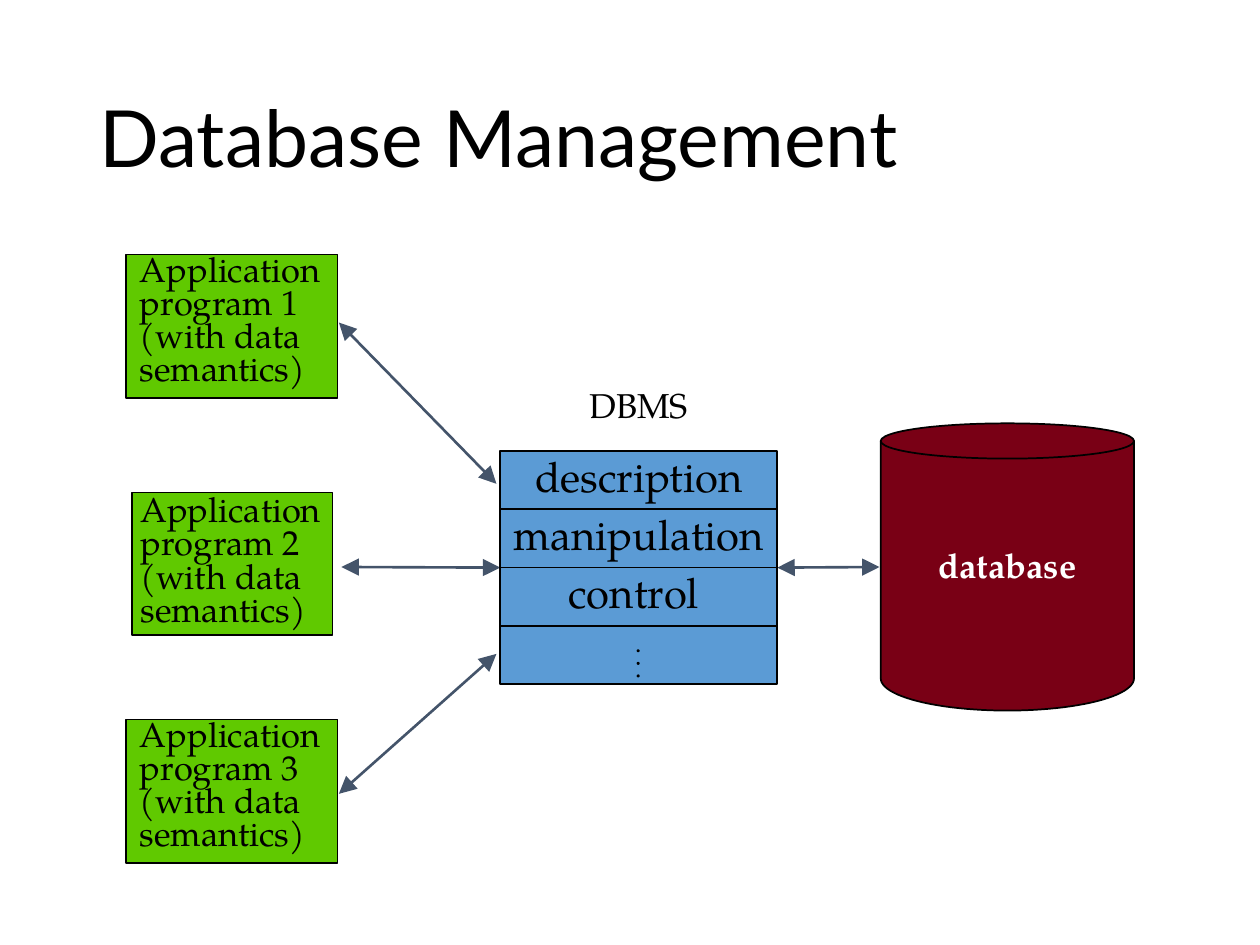
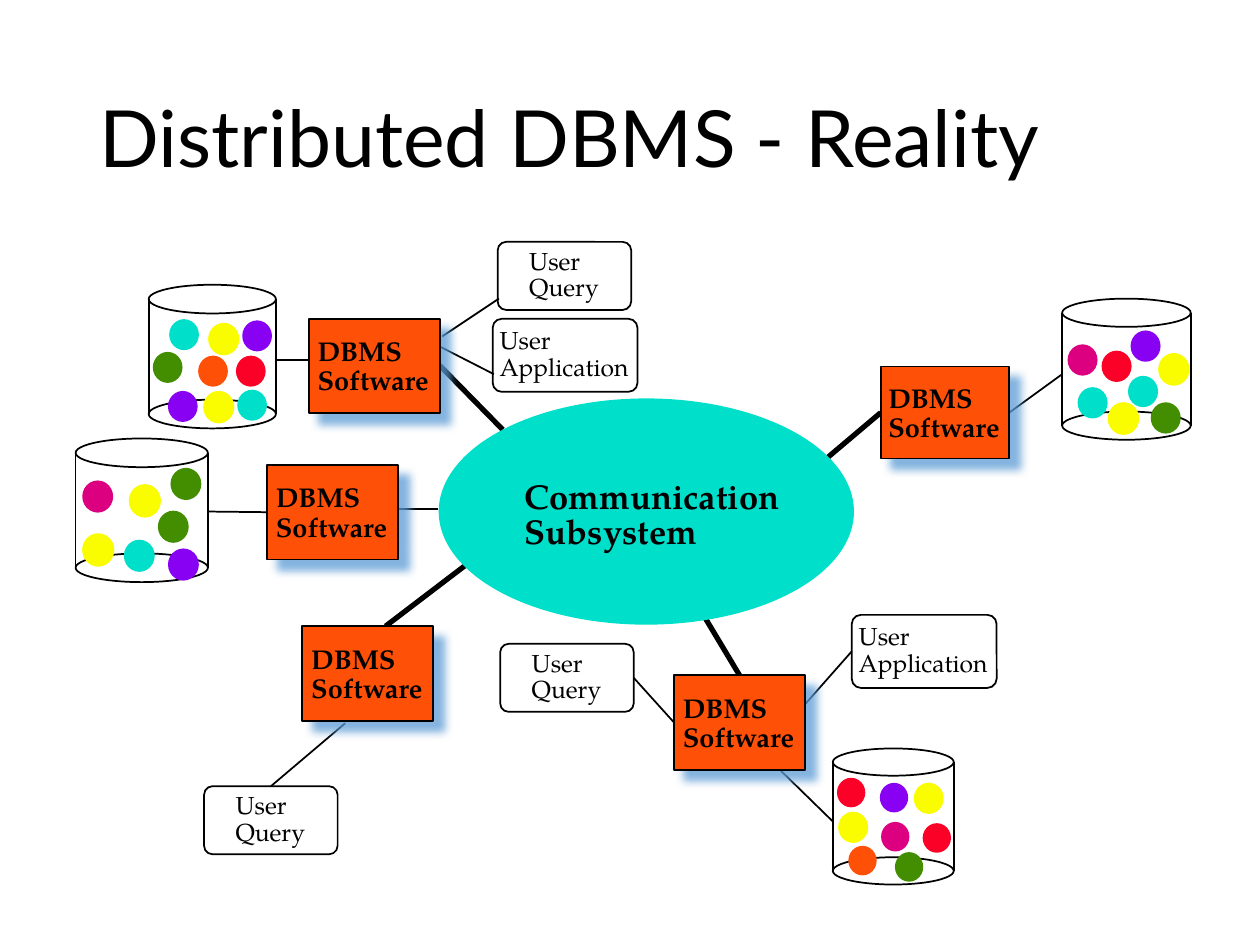
import math
from collections import namedtuple
from lxml import etree
from pptx import Presentation
from pptx import util as u
from pptx.dml import color
from pptx.enum import shapes, text
from pptx.oxml import ns

COLOURS = {
    "ink": "000000", "paper": "FFFFFF", "program": "60C900", "dbms": "5B9BD5",
    "store": "790015", "arrow": "44546A", "cyan": "00DFCA", "orange": "FF5008",
    "yellow": "FAFD00", "green": "438E00", "pink": "DC0081", "violet": "8901F3",
    "red": "FC0128",
}
SERIF = "TeX Gyre Pagella"
START, MIDDLE = text.PP_ALIGN.LEFT, text.PP_ALIGN.CENTER
FORMATS = {
    "title": {"size": 45, "name": "Lato", "spacing": 0.9},
    "label": {"size": 19.7, "name": SERIF, "align": MIDDLE, "margin": 0.65},
    "program": {"size": 19.7, "name": SERIF, "spacing": 0.8, "margin": 0.65},
    "store": {"size": 19.7, "name": SERIF, "bold": True, "ink": "paper",
              "align": MIDDLE, "margin": 0.65},
    "function": {"size": 23.9, "name": SERIF, "align": MIDDLE, "margin": 0.65},
    "network": {"size": 19.7, "name": SERIF, "spacing": 0.85, "bold": True},
    "site": {"size": 15.5, "name": SERIF, "spacing": 0.9, "bold": True},
    "user": {"size": 14.1, "name": SERIF, "spacing": 0.9},
}
COLUMNS, ROWS = 100, 75
WIDTH, HEIGHT = u.Inches(10), u.Inches(7.5)
TOP, LEFT, BOTTOM, RIGHT = range(4)
KIND = shapes.MSO_SHAPE

Box = namedtuple("Box", "x y w h")


def col(value):
    return u.Emu(round(value * WIDTH / COLUMNS))


def row(value):
    return u.Emu(round(value * HEIGHT / ROWS))


def place(box):
    return col(box.x), row(box.y), col(box.w), row(box.h)


def centred(box, w, h, drop=0, shift=0):
    return Box(box.x + (box.w - w) / 2 + shift, box.y + (box.h - h) / 2 + drop, w, h)


def rgb(name):
    return color.RGBColor.from_string(COLOURS[name])


def paint(part, fill=None, line="ink", weight=1):
    part.shadow.inherit = False
    if fill:
        part.fill.solid()
        part.fill.fore_color.rgb = rgb(fill)
    else:
        part.fill.background()
    part.line.color.rgb = rgb(line)
    part.line.width = u.Pt(weight)
    return part


def figure(slide, kind, box, **look):
    return paint(slide.shapes.add_shape(kind, *place(box)), **look)


def write(slide, box, lines, style, frame_format=None):
    frame = slide.shapes.add_textbox(*place(box)).text_frame
    values = dict(FORMATS[style])
    ink, spacing = values.pop("ink", "ink"), values.pop("spacing", 1.0)
    align, margin = values.pop("align", START), values.pop("margin", 0.75)
    values["size"] = u.Pt(values["size"])
    settings = frame_format or {
        "word_wrap": False, "auto_size": text.MSO_AUTO_SIZE.SHAPE_TO_FIT_TEXT,
        "margin_left": col(margin), "margin_right": col(margin),
        "margin_top": row(0.3), "margin_bottom": row(0.3),
    }
    for attribute, value in settings.items():
        setattr(frame, attribute, value)
    for index, words in enumerate(lines):
        paragraph = frame.add_paragraph() if index else frame.paragraphs[0]
        paragraph.line_spacing = spacing
        paragraph.alignment = align
        run = paragraph.add_run()
        run.text = words
        run.font.color.rgb = rgb(ink)
        for attribute, value in values.items():
            setattr(run.font, attribute, value)


def link(slide, start, end, ink="ink", weight=1, arrows=False, behind=True):
    points = [(0, 0) if hasattr(a, "shape_id") else (col(a), row(b))
              for a, b in (start, end)]
    wire = slide.shapes.add_connector(shapes.MSO_CONNECTOR.STRAIGHT, *points[0], *points[1])
    for (target, side), join in ((start, wire.begin_connect), (end, wire.end_connect)):
        if hasattr(target, "shape_id"):
            join(target, side)
    wire.line.color.rgb = rgb(ink)
    wire.line.width = u.Pt(weight)
    element = wire.element
    if arrows:
        outline = element.find(".//" + ns.qn("a:ln"))
        for tip in ("a:headEnd", "a:tailEnd"):
            etree.SubElement(outline, ns.qn(tip), type="triangle", w="lg", len="lg")
    etree.SubElement(element.find(ns.qn("p:spPr")), ns.qn("a:effectLst"))
    if behind:
        element.getparent().insert(2, element)


def title(slide, words):
    write(slide, Box(6.9, 4, 86.2, 14.5), [words], "title",
          {"word_wrap": True, "vertical_anchor": text.MSO_ANCHOR.MIDDLE})


def program(slide, box, number, drop):
    figure(slide, KIND.RECTANGLE, box, fill="program")
    lines = ["Application", f"program {number}", "(with data", "semantics)"]
    write(slide, centred(box, 15.9, 11.3, drop), lines, "program")


def dbms(slide, box):
    body = figure(slide, KIND.RECTANGLE, box, fill="dbms")
    heading = Box(box.x, box.y - 5.6, box.w, 4)
    write(slide, centred(heading, 14, 4), ["DBMS"], "label")
    step = box.h / 4
    for index, (words, shift) in enumerate(
            (("description", 0), ("manipulation", 0), ("control", -0.4))):
        band = Box(box.x, box.y + index * step, box.w, step)
        write(slide, centred(band, 22, 4.7, -0.3, shift), [words], "function")
        floor = band.y + step
        ends = (((body, LEFT), (body, RIGHT)) if index == 1
                else ((box.x, floor), (box.x + box.w, floor)))
        link(slide, *ends, behind=False)
    for index in range(3):
        figure(slide, KIND.OVAL, Box(box.x + 10.9, box.y + 15.8 + index, 0.1, 0.1), fill="ink")
    return body


def database(slide, box):
    lid, bowl = 2.8, 2.55
    middle, half, shoulder = box.x + box.w / 2, box.w / 2, box.y + box.h - bowl
    curve = [(middle - half * math.cos(math.pi * step / 48),
              shoulder + bowl * math.sin(math.pi * step / 48)) for step in range(49)]
    rim = box.y + lid / 2
    outline = slide.shapes.build_freeform(col(box.x), row(rim), scale=1.0)
    outline.add_line_segments(
        [(col(x), row(y)) for x, y in curve + [(box.x + box.w, rim)]], close=True)
    paint(outline.convert_to_shape(), fill="store")
    figure(slide, KIND.OVAL, box._replace(h=lid), fill="store")
    write(slide, centred(box, 17, 4, -0.1), ["database"], "store")


def site(slide, box):
    node = figure(slide, KIND.RECTANGLE, box, fill="orange")
    effects = node.element.find(".//" + ns.qn("a:effectLst"))
    shade = etree.SubElement(effects, ns.qn("a:outerShdw"), blurRad=str(u.Pt(5)),
                             dist=str(u.Pt(8.5)), dir="2700000", algn="ctr", rotWithShape="0")
    tint = etree.SubElement(shade, ns.qn("a:srgbClr"), val=COLOURS["dbms"])
    etree.SubElement(tint, ns.qn("a:alpha"), val="75000")
    write(slide, centred(box, 10.5, 5.3, 0.15), ["DBMS", "Software"], "site")
    return node


def user(slide, x, y, role):
    size, label = {"Query": ((10.6, 5.4), (7.1, 4.9)),
                   "Application": ((11.5, 5.8), (11.9, 4.9))}[role]
    box = Box(x, y, *size)
    card = figure(slide, KIND.ROUNDED_RECTANGLE, box)
    card.adjustments[0] = 0.125
    write(slide, centred(box, *label), ["User", role], "user")
    return card


def fragments(slide, box, dots):
    lid = 0.2 * box.h
    for y in (box.y, box.y + box.h - lid):
        figure(slide, KIND.OVAL, Box(box.x, y, box.w, lid))
    for x in (box.x, box.x + box.w):
        link(slide, (x, box.y + lid / 2), (x, box.y + box.h - lid / 2), behind=False)
    for ink, spots in dots.items():
        share, weight = (0.19, 4) if ink == "yellow" else (0.22, 1)
        for x, y in spots:
            dot = Box(box.x + x, box.y + y, share * box.w, (share + 0.01) * box.w)
            figure(slide, KIND.OVAL, dot, fill=ink, line=ink, weight=weight)


def network(slide, box):
    figure(slide, KIND.OVAL, box, fill="cyan", line="cyan", weight=4)
    write(slide, Box(box.x + 5.8, box.y + 6, 21.9, 6.3),
          ["Communication", "Subsystem"], "network")


def management_slide(slide):
    title(slide, "Database Management")
    database(slide, Box(69.9, 33.6, 20.1, 22.8))
    for number, (box, drop) in enumerate((
            (Box(10, 20.2, 16.8, 11.4), -0.25),
            (Box(10.5, 39.1, 15.9, 11.3), 0),
            (Box(10, 57.1, 16.8, 11.4), -0.25)), 1):
        program(slide, box, number, drop)
    engine = dbms(slide, Box(39.7, 35.8, 22, 18.5))
    for start, end in (((27.1, 45), (engine, LEFT)), ((26.9, 25.6), (39.4, 38.4)),
                       ((26.9, 63), (39.4, 51.9)), ((engine, RIGHT), (69.8, 45))):
        link(slide, start, end, ink="arrow", weight=1.5, arrows=True)


def reality_slide(slide):
    title(slide, "Distributed DBMS - Reality")
    network(slide, Box(35.1, 31.9, 32.4, 17.4))
    for box, dots in (
            (Box(6, 34.8, 10.5, 11.4), {
                "yellow": [(4.5, 3.9), (0.8, 7.8)], "green": [(6.6, 5.8), (7.6, 2.4)],
                "cyan": [(3.9, 8.1)], "pink": [(0.6, 3.4)], "violet": [(7.4, 8.8)]}),
            (Box(11.8, 22.6, 10.1, 11.4), {
                "yellow": [(4.6, 8.7), (5, 3.3)], "green": [(0.4, 5.4)],
                "cyan": [(7.1, 8.4), (1.7, 2.8)], "red": [(7, 5.7)],
                "violet": [(7.5, 2.9), (1.6, 8.5)], "orange": [(4, 5.7)]}),
            (Box(66.1, 59.4, 9.6, 10.8), {
                "violet": [(3.8, 2.8)], "green": [(5, 8.3)], "red": [(0.4, 2.4), (7.2, 6)],
                "pink": [(3.9, 5.9)], "orange": [(1.3, 7.8)],
                "yellow": [(6.7, 3), (0.7, 5.3)]}),
            (Box(84.3, 23.7, 10.2, 11.2), {
                "yellow": [(3.9, 8.5), (7.9, 4.6)], "green": [(7.1, 8.3)],
                "cyan": [(1.3, 7.1), (5.3, 6.2)], "red": [(3.2, 4.2)],
                "pink": [(0.5, 3.7)], "violet": [(5.5, 2.6)]})):
        fragments(slide, box, dots)
    south, east, southwest, west, northwest = (site(slide, box) for box in (
        Box(53.5, 53.6, 10.4, 7.5), Box(69.9, 29.1, 10.2, 7.3), Box(24, 49.7, 10.4, 7.5),
        Box(21.2, 36.9, 10.4, 7.5), Box(24.5, 25.3, 10.4, 7.5)))
    south_app, south_query, southwest_query, northwest_query, northwest_app = (
        user(slide, *spot) for spot in (
            (67.6, 48.8, "Application"), (39.7, 51.1, "Query"), (16.2, 62.4, "Query"),
            (39.5, 19.2, "Query"), (39.1, 25.3, "Application")))
    for start, end in (((34.5, 28.6), (39.9, 34.1)), ((65.7, 36.3), (east, LEFT)),
                       ((56, 49.1), (south, TOP)), ((30.6, 49.7), (36.9, 44.9))):
        link(slide, start, end, weight=3)
    for start, end in (
            ((34.8, 40.4), (31.4, 40.4)), ((west, LEFT), (16.5, 40.6)),
            ((21.9, 28.6), (24.5, 28.6)), ((34.9, 27.5), (39.2, 29.7)),
            ((35.1, 26.7), (39.6, 23.7)), ((61.7, 60.9), (66.1, 65.2)),
            ((south_app, LEFT), (63.8, 56)), ((south_query, RIGHT), (south, LEFT)),
            ((27.4, 57.4), (southwest_query, TOP)), ((east, RIGHT), (84.3, 29.7))):
        link(slide, start, end)


def main():
    deck = Presentation()
    deck.slide_width, deck.slide_height = WIDTH, HEIGHT
    for build in (management_slide, reality_slide):
        build(deck.slides.add_slide(deck.slide_layouts[6]))
    deck.save("out.pptx")


if __name__ == "__main__":
    main()
